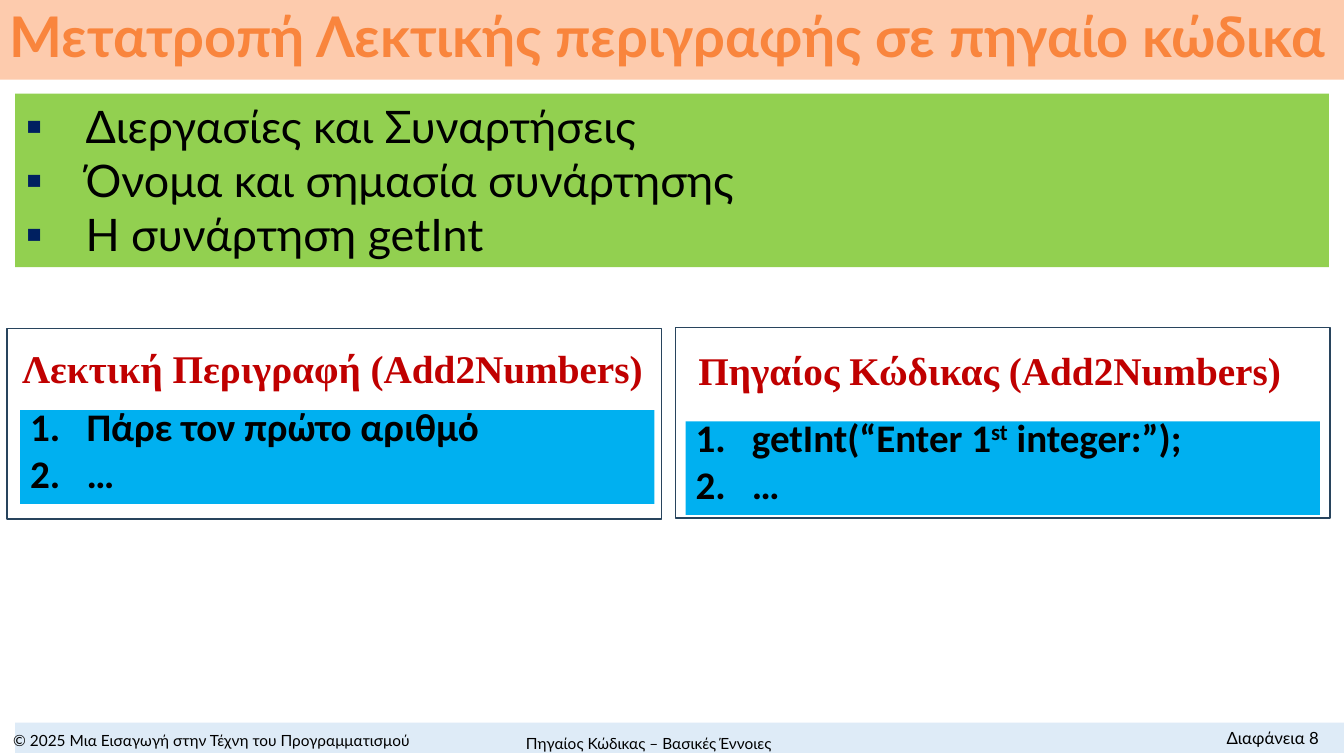
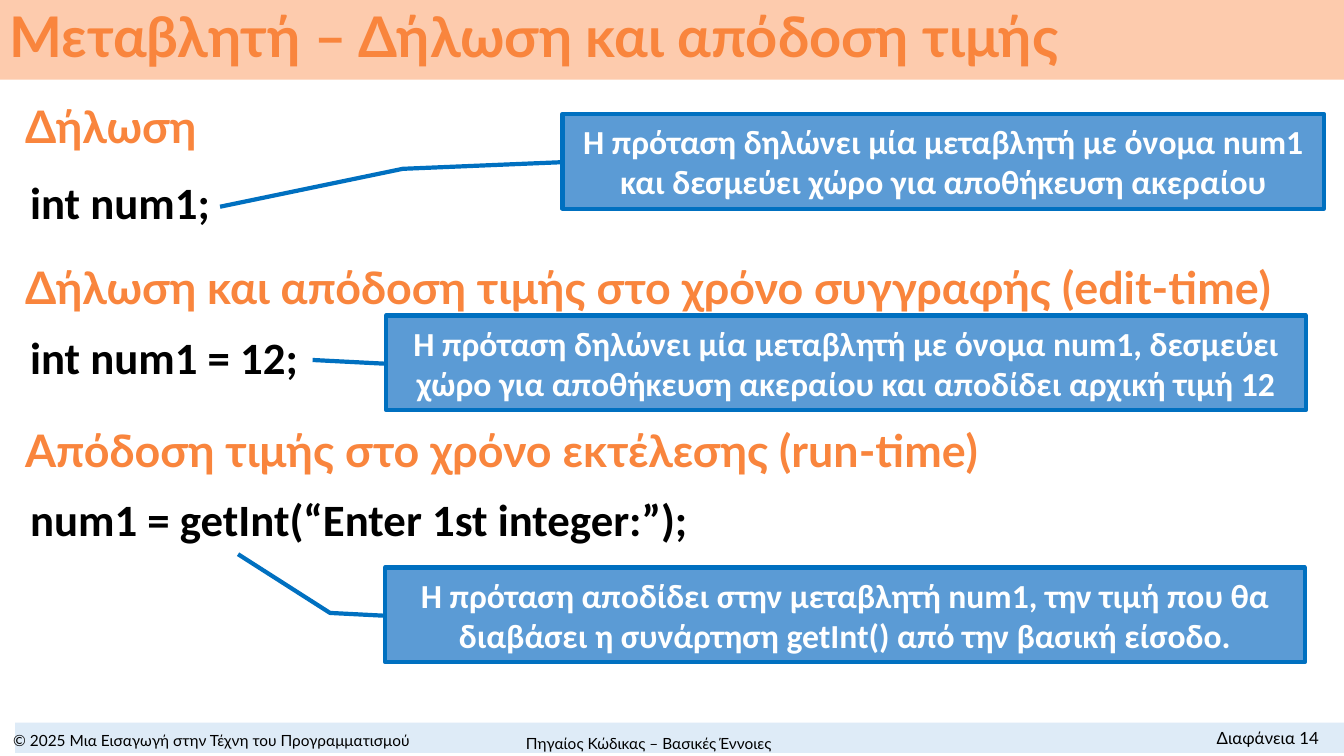
import pptx
import pptx.util
import pptx.dml.color
import pptx.enum.shapes
import pptx.enum.text
import pptx.oxml.ns
from lxml import etree

Inches = pptx.util.Inches
Pt = pptx.util.Pt
SHAPE = pptx.enum.shapes.MSO_SHAPE
ALIGN = pptx.enum.text.PP_ALIGN
ANCHOR = pptx.enum.text.MSO_ANCHOR

COLORS = {
    "title_band": "FDCBAD", "orange": "F9853D", "footer_band": "DEEBF7",
    "black": "000000", "white": "FFFFFF", "green": "92D050", "bullet": "002060",
    "panel_line": "28445D", "cyan": "00B0F0", "red": "C00000",
    "callout": "5B9BD5", "callout_line": "0070C0",
}
SLIDE_W, SLIDE_H = 13.33, 7.5
COPYRIGHT = "© 2025 Μια Εισαγωγή στην Τέχνη του Προγραμματισμού"
CHAPTER = "Πηγαίος Κώδικας – Βασικές Έννοιες"


def rgb(name):
    return pptx.dml.color.RGBColor.from_string(COLORS[name])


def add_box(shapes, box, fill, line=None, line_width=1, kind=SHAPE.RECTANGLE):
    sp = shapes.add_shape(kind, *map(Inches, box))
    sp.shadow.inherit = False
    sp.fill.solid()
    sp.fill.fore_color.rgb = rgb(fill)
    if line:
        sp.line.color.rgb = rgb(line)
        sp.line.width = Pt(line_width)
    else:
        sp.line.fill.background()
    return sp


def set_text(sp, lines, size, font="Lato", color="black", bold=False,
             align=ALIGN.LEFT, anchor=ANCHOR.TOP, bullet=None, indent=0):
    """Write one paragraph per line; a line is a string or a list of (text, superscript)."""
    tf = sp.text_frame
    tf.word_wrap = True
    tf.vertical_anchor = anchor
    for i, line in enumerate(lines):
        p = tf.paragraphs[0] if i == 0 else tf.add_paragraph()
        for text, raised in [(line, False)] if isinstance(line, str) else line:
            r = p.add_run()
            r.text = text
            if raised:
                r.font._element.set("baseline", "30000")
        p.alignment = align
        if bullet:
            add_bullet(p, bullet, indent)
        p.font.size = Pt(size)
        p.font.name = font
        p.font.bold = bold
        p.font.color.rgb = rgb(color)
    return tf


def add_bullet(p, bullet, indent):
    """Hang a coloured square, or an automatic number, in front of the paragraph."""
    pPr = p._p.get_or_add_pPr()
    pPr.set("marL", str(Inches(indent)))
    pPr.set("indent", str(-Inches(indent)))

    def sub(parent, tag, **attrs):
        return etree.SubElement(parent, pptx.oxml.ns.qn(tag), **attrs)

    if bullet == "number":
        sub(pPr, "a:buFont", typeface="+mj-lt")
        sub(pPr, "a:buAutoNum", type="arabicPeriod")
    else:
        sub(sub(pPr, "a:buClr"), "a:srgbClr", val=COLORS["bullet"])
        sub(pPr, "a:buFont", typeface="Lato")
        sub(pPr, "a:buChar", char=bullet)


def add_text(shapes, box, text, size, **style):
    return set_text(shapes.add_textbox(*map(Inches, box)), [text], size, **style)


def new_slide(prs, title, number):
    """Add a blank slide with the shared title band and footer."""
    s = prs.slides.add_slide(prs.slide_layouts[6])
    add_box(s.shapes, (0.15, 7.17, SLIDE_W - 0.15, 0.3), "footer_band")
    band = add_box(s.shapes, (0, 0, SLIDE_W, 0.79), "title_band")
    tf = set_text(band, [title], 40, color="orange", bold=True, anchor=ANCHOR.MIDDLE)
    tf.paragraphs[0].line_spacing = 0.9
    centred = dict(align=ALIGN.CENTER, anchor=ANCHOR.MIDDLE)
    add_text(s.shapes, (0, 7.22, 4.2, 0.26), COPYRIGHT, 11, **centred)
    add_text(s.shapes, (4.54, 7.23, 3.79, 0.28), CHAPTER, 11, **centred)
    add_text(s.shapes, (11.12, 7.17, 2.06, 0.3), f"Διαφάνεια {number}", 12,
             align=ALIGN.RIGHT)
    return s


def add_topics(s, box, topics):
    sp = add_box(s.shapes, box, "green")
    set_text(sp, topics, 32, bullet="▪", indent=0.6)


def add_panel(s, left, top, heading, heading_at, steps, steps_at):
    """Group a framed heading with numbered steps; both offsets are from the frame."""
    g = s.shapes.add_group_shape()
    add_box(g.shapes, (left, top, 6.49, 1.89), "white", "panel_line")
    add_text(g.shapes, (left + heading_at[0], top + heading_at[1], 7.05, 0.57),
             heading, 28, font="Times New Roman", color="red", bold=True,
             align=ALIGN.CENTER)
    body = add_box(g.shapes, (left + steps_at[0], top + steps_at[1], 6.29, 0.93), "cyan")
    tf = set_text(body, steps, 27.9, font="Calibri", bold=True,
                  bullet="number", indent=0.56)
    for i, p in enumerate(tf.paragraphs):
        p.line_spacing = 0.7
        p.space_before = Pt(10 if i else 0)


def add_example(s, top, heading, code, code_gap, note, note_box, leader):
    """Place a heading, its code line and a callout whose leader points at the code."""
    add_text(s.shapes, (0.15, top, 12.8, 0.64), heading, 32, color="orange", bold=True)
    add_text(s.shapes, (0.2, top + code_gap, 6.86, 0.64), code, 32,
             font="Calibri", bold=True)
    left, drop, width = note_box
    sp = add_box(s.shapes, (left, top + drop, width, 0.94), "callout",
                 "callout_line", 3, SHAPE.LINE_CALLOUT_2)
    for i, value in enumerate((0.51, 0, *leader)):
        sp.adjustments[i] = value
    set_text(sp, [note], 24, font="Calibri", color="white", bold=True,
             align=ALIGN.CENTER, anchor=ANCHOR.MIDDLE)


def build_conversion_slide(prs):
    s = new_slide(prs, "Μετατροπή Λεκτικής περιγραφής σε πηγαίο κώδικα", 8)
    add_topics(s, (0.15, 0.93, 13.03, 1.72), [
        "Διεργασίες και Συναρτήσεις",
        "Όνομα και σημασία συνάρτησης",
        "H συνάρτηση getInt",
    ])
    add_panel(s, 6.7, 3.25, "Πηγαίος Κώδικας (Add2Numbers)", (-0.41, 0.14),
              [[("getInt(“Enter 1", False), ("st", True), (" integer:”);", False)], "…"],
              (0.1, 0.93))
    add_panel(s, 0.07, 3.26, "Λεκτική Περιγραφή (Add2Numbers)", (-0.3, 0.11),
              ["Πάρε τον πρώτο αριθμό", "…"], (0.13, 0.81))


def build_variable_slide(prs):
    s = new_slide(prs, "Μεταβλητή – Δήλωση και απόδοση τιμής", 14)
    add_example(s, 0.93, "Δήλωση", "int num1;", 0.75,
                "Η πρόταση δηλώνει μία μεταβλητή με όνομα num1 "
                "και δεσμεύει χώρο για αποθήκευση ακεραίου",
                (5.58, 0.2, 7.55), (0.58, -0.21, 0.98, -0.45))
    add_example(s, 2.53, "Δήλωση και απόδοση τιμής στο χρόνο συγγραφής (edit-time)",
                "int num1 = 12;", 0.69,
                "Η πρόταση δηλώνει μία μεταβλητή με όνομα num1, δεσμεύει "
                "χώρο για αποθήκευση ακεραίου και αποδίδει αρχική τιμή 12",
                (3.83, 0.6, 9.12), (0.48, -0.06, 0.47, -0.08))
    add_example(s, 4.14, "Απόδοση τιμής στο χρόνο εκτέλεσης (run-time)",
                "num1 = getInt(“Enter 1st integer:”);", 0.69,
                "Η πρόταση αποδίδει στην μεταβλητή num1, την τιμή που θα "
                "διαβάσει η συνάρτηση getInt() από την βασική είσοδο.",
                (3.82, 1.49, 9.12), (0.48, -0.06, -0.14, -0.16))


def main():
    prs = pptx.Presentation()
    prs.slide_width, prs.slide_height = Inches(SLIDE_W), Inches(SLIDE_H)
    build_conversion_slide(prs)
    build_variable_slide(prs)
    prs.save("out.pptx")


if __name__ == "__main__":
    main()
